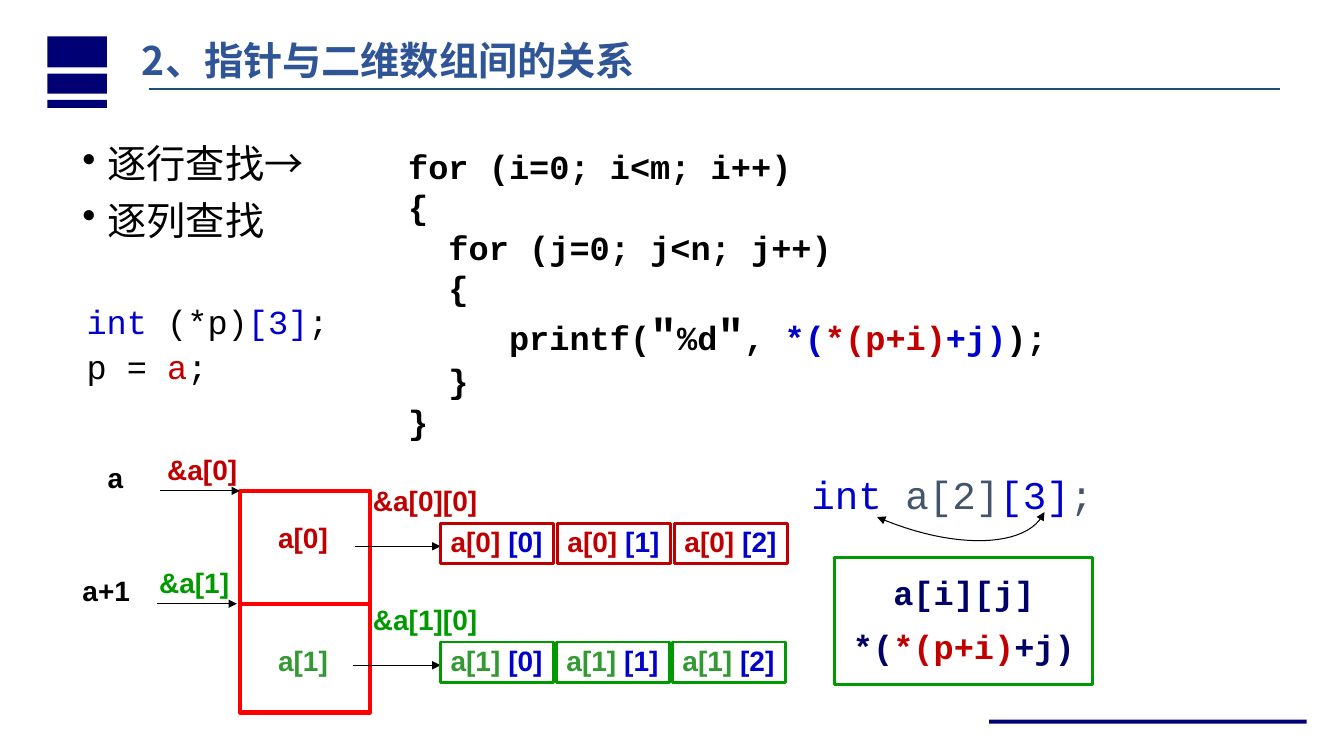
"""Builds a slide on pointers and two-dimensional arrays."""
from lxml.etree import SubElement
from pptx import Presentation
from pptx.dml.color import RGBColor
from pptx.enum.shapes import MSO_CONNECTOR, MSO_SHAPE
from pptx.enum.text import MSO_ANCHOR, MSO_AUTO_SIZE, PP_ALIGN
from pptx.oxml.ns import qn
from pptx.util import Inches, Pt

NAVY, BLUE, RED, GREEN, LEAF = "000074", "0000CC", "C00000", "009900", "339933"
BLACK, SLATE, INK = "000000", "44546A", "000066"
SANS, MONO, CHINESE = "Arial", "Courier New", "Noto Sans CJK SC"


def color(value):
    return RGBColor.from_string(value)


class SlideBuilder:
    def __init__(self, page):
        self.page = page

    def rectangle(self, left, top, width, height, fill=None, line=None, weight=1):
        box = self.page.shapes.add_shape(
            MSO_SHAPE.RECTANGLE, Inches(left), Inches(top), Inches(width), Inches(height))
        box.shadow.inherit = False
        self.paint(box, fill, line, weight)
        return box

    def paint(self, box, fill, line, weight):
        if fill:
            box.fill.solid()
            box.fill.fore_color.rgb = color(fill)
        else:
            box.fill.background()
        if line:
            box.line.color.rgb = color(line)
            box.line.width = Pt(weight)
        else:
            box.line.fill.background()

    def text_box(self, left, top, width, height, grow=False):
        box = self.page.shapes.add_textbox(
            Inches(left), Inches(top), Inches(width), Inches(height))
        self.fit(box, grow)
        return box

    def fit(self, box, grow):
        frame = box.text_frame
        frame.word_wrap = not grow
        frame.auto_size = MSO_AUTO_SIZE.SHAPE_TO_FIT_TEXT if grow else MSO_AUTO_SIZE.NONE

    def put_text(self, box, lines, size, font, bold=False, spacing=0.9, before=0,
                 after=0, bullet=None, align=PP_ALIGN.LEFT):
        frame = box.text_frame
        for index, spans in enumerate(lines):
            para = frame.add_paragraph() if index else frame.paragraphs[0]
            properties = para._p.get_or_add_pPr()
            if bullet:
                properties.set("marL", str(Inches(0.25)))
                properties.set("indent", str(-Inches(0.25)))
                SubElement(properties, qn("a:buChar")).set("char", bullet)
            para.alignment = align
            para.line_spacing = spacing
            para.space_before = Pt(before if index else 0)
            para.space_after = Pt(after)
            para.font.size = Pt(size)
            para.font.name = font
            para.font.bold = bold
            defaults = properties.find(qn("a:defRPr"))
            SubElement(defaults, qn("a:ea")).set("typeface", font)
            for text, shade, *larger in spans:
                span = para.add_run()
                span.text = text
                span.font.color.rgb = color(shade)
                if larger:
                    span.font.size = Pt(larger[0])

    def label(self, left, top, width, text, shade):
        box = self.text_box(left, top, width, 0.4, grow=True)
        self.put_text(box, [[(text, shade)]], 20, SANS, bold=True)

    def cell(self, left, top, spans, border):
        box = self.rectangle(left, top, 1.12, 0.4, line=border, weight=2)
        self.fit(box, True)
        self.put_text(box, [spans], 20, SANS, bold=True)

    def line(self, start, end, shade=BLACK, weight=0.75, arrow=False):
        link = self.page.shapes.add_connector(
            MSO_CONNECTOR.STRAIGHT, *map(Inches, start), *map(Inches, end))
        link.line.color.rgb = color(shade)
        link.line.width = Pt(weight)
        if arrow:
            self.arrowheads(link, "tailEnd")
        SubElement(link._element.spPr, qn("a:effectLst"))

    def arrowheads(self, shape, *ends):
        outline = shape._element.spPr.find(qn("a:ln"))
        for end in ends:
            SubElement(outline, qn(f"a:{end}")).set("type", "triangle")

    def curve(self, controls, steps=24):
        points = []
        for step in range(steps + 1):
            t = step / steps
            weights = ((1 - t) ** 3, 3 * t * (1 - t) ** 2, 3 * t * t * (1 - t), t ** 3)
            points.append(tuple(
                Inches(sum(w * point[axis] for w, point in zip(weights, controls)))
                for axis in (0, 1)))
        builder = self.page.shapes.build_freeform(*points[0])
        builder.add_line_segments(points[1:], close=False)
        arc = builder.convert_to_shape()
        arc.shadow.inherit = False
        self.paint(arc, None, BLACK, 0.75)
        self.arrowheads(arc, "headEnd", "tailEnd")


def add_header(slide):
    for top, height in ((0.36, 0.31), (0.73, 0.2), (0.99, 0.08)):
        slide.rectangle(0.47, top, 0.59, height, fill=NAVY)
    slide.rectangle(9.81, 7.14, 3.15, 0.04, fill=NAVY)
    slide.line((1.48, 0.88), (12.7, 0.88), "1F4E79", 1.25)
    title = slide.text_box(1.31, 0.31, 7.46, 0.57)
    slide.put_text(title, [[("2、指针与二维数组间的关系", "2F5597")]], 28, CHINESE,
                   bold=True, spacing=1.0)


def add_code(slide):
    searches = slide.text_box(0.72, 1.39, 2.64, 1.73)
    slide.put_text(searches, [[("逐行查找→", BLACK)], [("逐列查找", BLACK)]],
                   28, CHINESE, before=10, bullet="•")
    pointer = slide.text_box(0.76, 2.9, 2.72, 1.26)
    slide.put_text(pointer, [
        [("int ", BLUE), ("(*p)", BLACK), ("[3]", BLUE), (";", BLACK)],
        [("p = ", BLACK), ("a", RED), (";", BLACK)],
    ], 24, MONO, spacing=1.1)
    loops = slide.text_box(3.95, 1.44, 7.17, 2.86)
    slide.put_text(loops, [
        [("for (i=0; i<m; i++)", BLACK)],
        [("{", BLACK)],
        [("  for (j=0; j<n; j++)", BLACK)],
        [("  {", BLACK)],
        [("     printf(", BLACK), ('"', BLACK, 32), ("%d", BLACK), ('"', BLACK, 32),
         (", ", BLACK), ("*(", BLUE), ("*(p+i)", RED), ("+j)", BLUE), (");", BLACK)],
        [("  }", BLACK)],
        [("}", BLACK)],
    ], 24, MONO, bold=True, before=3)


def add_memory(slide):
    slide.rectangle(2.38, 4.87, 1.29, 2.2, line="FF0000", weight=3)
    slide.line((2.38, 5.99), (3.67, 5.99), "FF0000", 3)
    slide.label(0.97, 4.56, 0.36, "a", BLACK)
    slide.label(0.72, 5.68, 0.67, "a+1", BLACK)
    rows = ((RED, RED, 1.59, 4.87, 1.16), (GREEN, LEAF, 1.56, 5.99, 1.15))
    for row, (border, shade, left, top, step) in enumerate(rows):
        cell_top = 5.19 + 1.18 * row
        slide.line((left, top), (left + 0.79, top), arrow=True)
        slide.label(1.56 - 0.08 * row, top - 0.39, 0.9, f"&a[{row}]", border)
        slide.label(2.66, 5.15 + 1.22 * row, 0.7, f"a[{row}]", shade)
        slide.label(3.6, cell_top - 0.4, 1.25, f"&a[{row}][0]", border)
        slide.line((3.52 - 0.02 * row, cell_top + 0.23), (4.37, cell_top + 0.23), arrow=True)
        for column in range(3):
            slide.cell(4.37 + step * column, cell_top,
                       [(f"a[{row}] ", shade), (f"[{column}]", BLUE)], border)


def add_formula(slide):
    declaration = slide.text_box(7.95, 4.67, 3.01, 0.52, grow=True)
    slide.put_text(declaration, [
        [("int ", BLUE), ("a[2]", SLATE), ("[3]", BLUE), (";", SLATE)],
    ], 28, MONO)
    slide.curve(((8.7, 5.13), (9.46, 5.46), (10.2, 5.44), (10.36, 5.08)))
    formula = slide.rectangle(8.28, 5.53, 2.56, 1.26, "FFFFFF", GREEN, 2.25)
    slide.fit(formula, False)
    formula.text_frame.vertical_anchor = MSO_ANCHOR.MIDDLE
    slide.put_text(formula, [
        [("a[i][j]", INK)],
        [("*(", INK), ("*(p+i)", RED), ("+j)", INK)],
    ], 24, MONO, bold=True, spacing=0.95, before=4.8, after=5.9, align=PP_ALIGN.CENTER)


def main():
    deck = Presentation()
    deck.slide_width, deck.slide_height = Inches(13.33), Inches(7.5)
    slide = SlideBuilder(deck.slides.add_slide(deck.slide_layouts[6]))
    add_header(slide)
    add_code(slide)
    add_memory(slide)
    add_formula(slide)
    deck.save("out.pptx")


if __name__ == "__main__":
    main()
